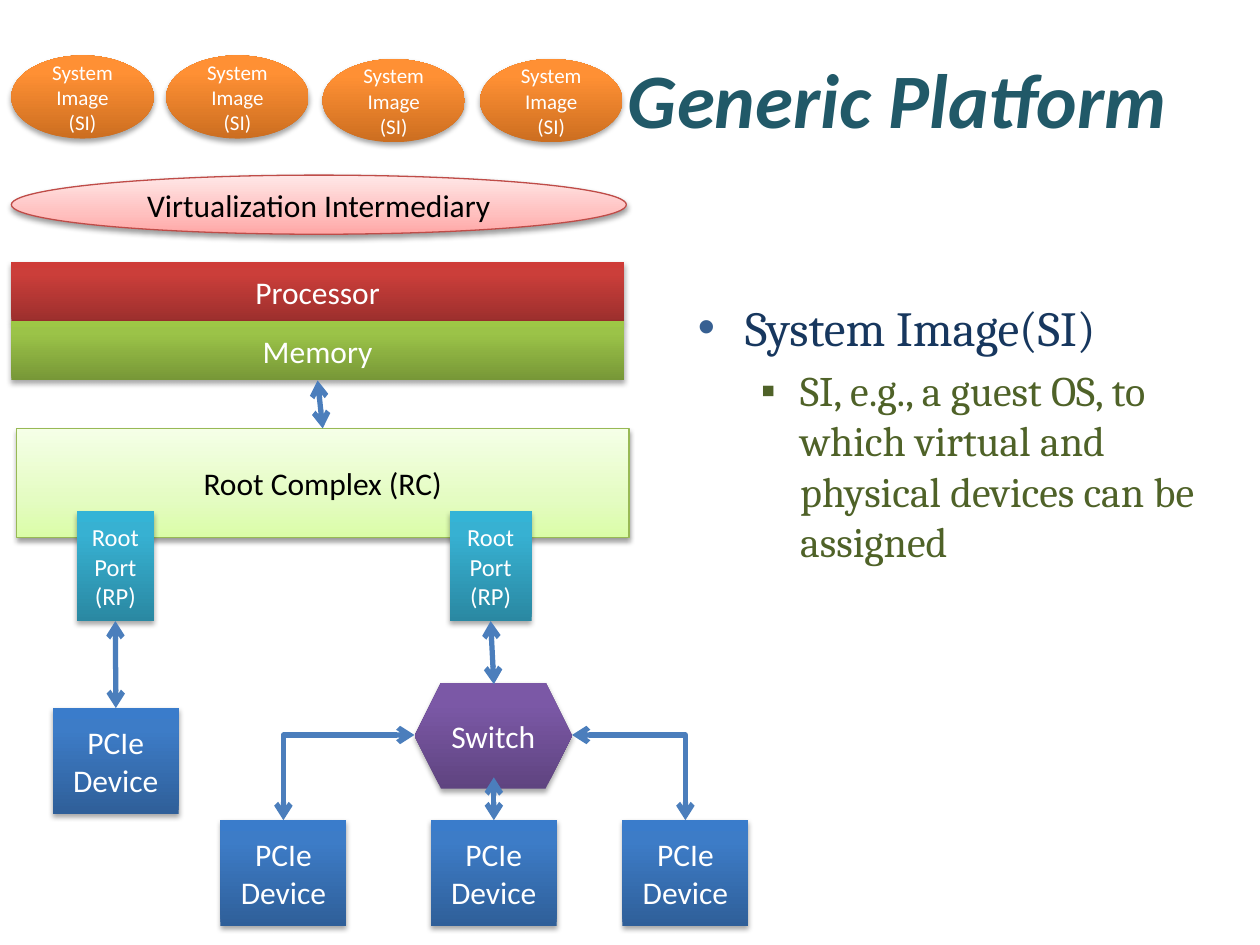
from copy import deepcopy

from lxml import etree
from pptx import Presentation
from pptx.dml.color import RGBColor
from pptx.enum.shapes import MSO_CONNECTOR, MSO_SHAPE
from pptx.enum.text import MSO_ANCHOR, PP_ALIGN
from pptx.oxml.ns import qn
from pptx.util import Pt

RECT, OVAL, HEX = MSO_SHAPE.RECTANGLE, MSO_SHAPE.OVAL, MSO_SHAPE.HEXAGON
STRAIGHT, ELBOW = MSO_CONNECTOR.STRAIGHT, MSO_CONNECTOR.ELBOW
MIDDLE, CENTER, RIGHT = MSO_ANCHOR.MIDDLE, PP_ALIGN.CENTER, PP_ALIGN.RIGHT
TOP, BOTTOM = 0, 2

ORANGE = ((0, "CC6E20"), (80, "FF9034"), (100, "FF9136"))
RED = ((0, "9C2F2D"), (80, "CB3E3A"), (100, "CE3B37"))
GREEN = ((0, "779737"), (80, "9BC348"), (100, "9DC746"))
TEAL = ((0, "2A88A2"), (80, "37B1D2"), (100, "34B4D6"))
BLUE = ((0, "2F5F99"), (80, "3D7CC7"), (100, "3A7CCB"))
PURPLE = ((0, "5F4480"), (80, "7B58A6"), (100, "7C57A8"))
LIME = ((0, "DAFDA7"), (35, "E4FCC2"), (100, "F5FFE7"))
PINK = ((0, "FFA6A5"), (35, "FFC0BF"), (100, "FFE7E7"))


def rgb(code):
    return RGBColor.from_string(code)


def node(parent, tag, **attrs):
    return etree.SubElement(parent, qn(tag), attrs)


class Board:
    """Draws styled elements on the current slide, with lengths in points."""

    sans, serif, wire = "Calibri", "Cambria", "4B7EBC"

    def __init__(self, slide):
        self.slide = slide

    def style(self, para, font, size, color, bold=False, slant=False):
        for run in para.runs:
            run.font.name, run.font.size = font, Pt(size)
            run.font.bold, run.font.italic = bold, slant
            run.font.color.rgb = rgb(color)

    def frame(self, *box):
        frame = self.slide.shapes.add_textbox(*map(Pt, box)).text_frame
        frame.word_wrap = True
        return frame

    def title(self, text, *box):
        frame = self.frame(*box)
        frame.text = text
        frame.vertical_anchor = MIDDLE
        frame.margin_right = Pt(17)
        para = frame.paragraphs[0]
        para.alignment = RIGHT
        self.style(para, self.sans, 44, "215968", True, True)

    def bullets(self, items, *box):
        frame = self.frame(*box)
        frame.text = "\n".join(item[0] for item in items)
        for para, item in zip(frame.paragraphs, items):
            _, level, left, hang, mark, tint, size, color = item
            para.level = level
            para.space_before = Pt(size * 0.2)
            self.style(para, self.serif, size, color)
            props = para._p.get_or_add_pPr()
            props.set("marL", str(Pt(left)))
            props.set("indent", str(-Pt(hang)))
            node(node(props, "a:buClr"), "a:srgbClr", val=str(rgb(tint)))
            node(props, "a:buFont", typeface="Arial")
            node(props, "a:buChar", char=mark)

    def block(self, kind, text, stops, *box, size=18, color="FFFFFF", edge=None):
        shape = self.slide.shapes.add_shape(kind, *map(Pt, box))
        self.shade(shape, stops)
        if edge:
            shape.line.color.rgb = rgb(edge)
            shape.line.width = Pt(0.75)
        else:
            shape.line.fill.background()
        self.shadow(shape, 38 if edge else 35, 1.6 if edge else 1.8)
        frame = shape.text_frame
        frame.word_wrap = True
        frame.vertical_anchor = MIDDLE
        frame.text = text
        for para in frame.paragraphs:
            para.alignment = CENTER
            self.style(para, self.sans, size, color)
        return shape

    def shade(self, shape, stops):
        fill = shape.fill
        fill.gradient()
        fill.gradient_angle = 90
        group = shape._element.spPr.find(".//" + qn("a:gsLst"))
        group.append(deepcopy(group[0]))
        for stop, (place, color) in zip(fill.gradient_stops, stops):
            stop.position = place / 100
            stop.color.rgb = rgb(color)

    def shadow(self, shape, alpha, drop):
        shape.shadow.inherit = False
        group = shape._element.spPr.find(qn("a:effectLst"))
        outer = node(group, "a:outerShdw", blurRad=str(Pt(3.1)), dist=str(Pt(drop)),
                     dir="5400000", rotWithShape="0")
        black = node(outer, "a:srgbClr", val=str(rgb("000000")))
        node(black, "a:alpha", val=str(alpha * 1000))

    def arrow(self, start, end, kind=STRAIGHT):
        """Joins two ends, each a point (x, y) or a pair (shape, side)."""
        ends = [e if isinstance(e[0], (int, float)) else (0, 0) for e in (start, end)]
        line = self.slide.shapes.add_connector(kind, *map(Pt, ends[0] + ends[1]))
        for spot, point, join in ((start, ends[0], line.begin_connect),
                                  (end, ends[1], line.end_connect)):
            if spot is not point:
                join(*spot)
        line.line.color.rgb = rgb(self.wire)
        line.line.width = Pt(3)
        stroke = line.line._get_or_add_ln()
        node(stroke, "a:headEnd", type="arrow")
        node(stroke, "a:tailEnd", type="arrow")
        props = line._element.spPr
        node(props, "a:effectLst")
        if kind == ELBOW:
            props.find(qn("a:prstGeom")).set("prst", "bentConnector2")


def main():
    deck = Presentation()
    deck.slide_width, deck.slide_height = Pt(720), Pt(540)
    board = Board(deck.slides.add_slide(deck.slide_layouts[6]))

    board.title("Generic Platform", 36, 21.6, 648, 68.4)
    board.bullets((
        ("System Image(SI)", 0, 27, 27, "•", "376092", 28, "17375E"),
        ("SI, e.g., a guest OS, to which virtual and physical devices can be assigned",
         1, 58.5, 22.5, "▪", "4F6228", 24, "4F6228"),
    ), 391.7, 166.3, 328.3, 373.7)

    for left, top in ((6.5, 31.7), (95, 31.7), (184.3, 33.8), (274.3, 33.8)):
        board.block(OVAL, "System Image (SI)", ORANGE, left, top, 81.4, 47.5, size=12)
    board.block(OVAL, "Virtualization Intermediary", PINK, 6.5, 100.1, 351.4, 33.8,
                color="000000", edge="BF4C48")
    board.block(RECT, "Processor", RED, 6.5, 149.8, 350, 33.8)
    memory = board.block(RECT, "Memory", GREEN, 6.5, 183.6, 350, 33.8)
    root = board.block(RECT, "Root Complex (RC)", LIME, 9.4, 244.8, 350, 62.6,
                       color="000000", edge="98B955")
    ports = [board.block(RECT, "Root\nPort (RP)", TEAL, left, 292.3, width, 62.6, size=14)
             for left, width in ((44, 43.9), (257, 46.8))]
    board.block(HEX, "Switch", PURPLE, 236.9, 390.2, 90, 60.5)
    cards = [board.block(RECT, "PCIe Device", BLUE, left, top, 72, 60.5)
             for left, top in ((30.2, 404.6), (126, 468.7), (246.2, 468.7), (355.7, 468.7))]

    board.arrow((memory, BOTTOM), (root, TOP))
    board.arrow((ports[0], BOTTOM), (cards[0], TOP))
    board.arrow((ports[1], BOTTOM), (282.2, 391))
    board.arrow((282.2, 444.2), (cards[2], TOP))
    board.arrow((236.9, 420), (162, 468.7), ELBOW)
    board.arrow((326.9, 420), (391.7, 468.7), ELBOW)

    deck.save("out.pptx")


if __name__ == "__main__":
    main()
